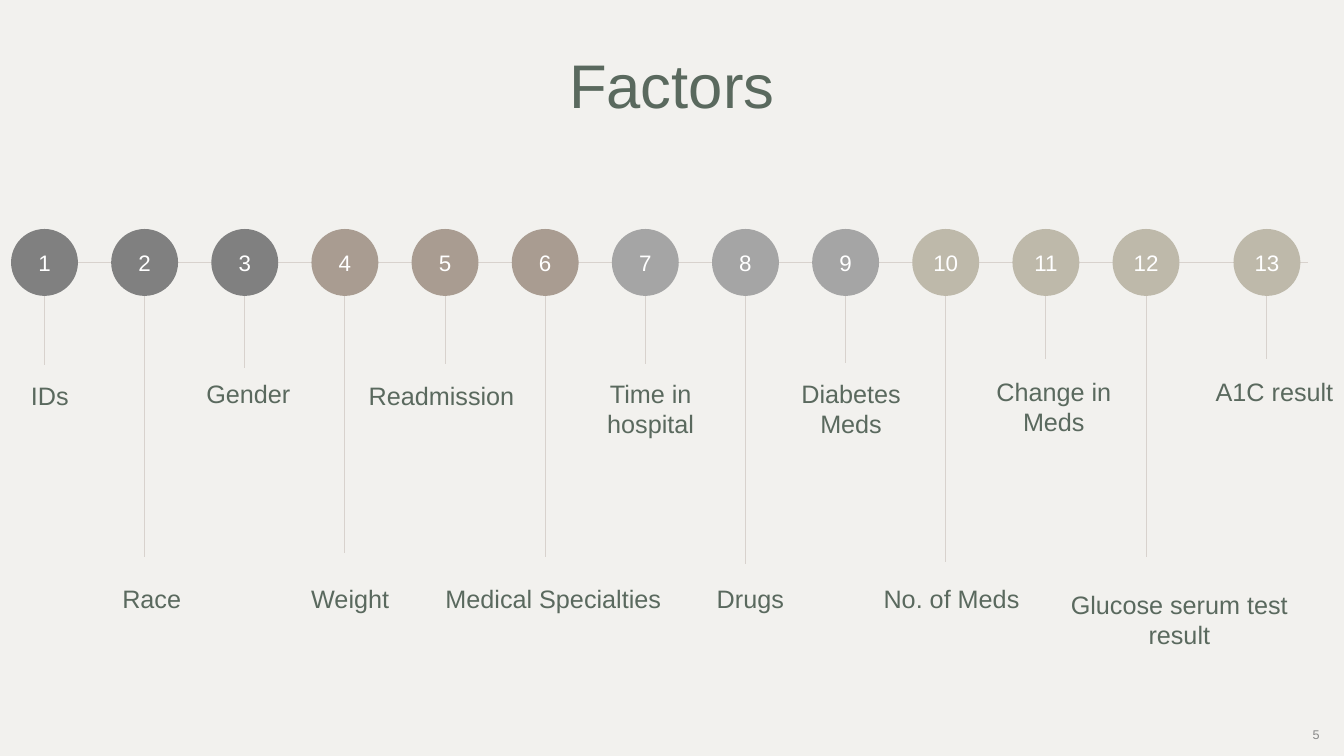
from lxml import etree
from pptx import Presentation
from pptx import util as u
from pptx.dml.color import RGBColor
from pptx.enum import shapes, text
from pptx.oxml.ns import qn

GREEN, WHITE, RULE = "5A695E", "FFFFFF", "D8D2CD"
DARK, TAUPE, GRAY, SAND = "808080", "A99C91", "A5A5A5", "BEB9AA"
BADGE, STEP = 47.8, 71.53
LAST_CENTER = 897.1

# label, badge colour, label left, label top, label width, stem end; relative to the timeline box
FACTORS = [
    ("IDs", DARK, -28.1, 104.4, 104.4, 97),
    ("Race", DARK, 44.7, 249.8, 104.4, 234),
    ("Gender", DARK, 113.8, 103, 104.4, 99.4),
    ("Weight", TAUPE, 186.5, 249.2, 104.4, 231.2),
    ("Readmission", TAUPE, 243.4, 104.4, 121, 96.5),
    ("Medical Specialties", TAUPE, 293.8, 249.2, 180, 234),
    ("Time in hospital", GRAY, 401.1, 103, 104.4, 96.5),
    ("Drugs", GRAY, 472.3, 249.2, 104.4, 239),
    ("Diabetes Meds", GRAY, 544.3, 103, 104.4, 95.8),
    ("No. of Meds", SAND, 606.3, 249.2, 123.8, 237.6),
    ("Change in Meds", SAND, 689.1, 101.6, 104.4, 92.9),
    ("Glucose serum test result", SAND, 739.5, 253.5, 182.9, 234),
    ("A1C result", SAND, 846.7, 101.6, 104.4, 92.9),
]


def color(value):
    return RGBColor.from_string(value)


def write(frame, words, size, ink, align, anchor, insets):
    frame.word_wrap = True
    frame.vertical_anchor = anchor
    frame.margin_left, frame.margin_top, frame.margin_right, frame.margin_bottom = map(u.Pt, insets)
    paragraph = frame.paragraphs[0]
    paragraph.alignment = align
    run = paragraph.add_run()
    run.text = words
    run.font.name = "Arial"
    run.font.size = u.Pt(size)
    run.font.color.rgb = color(ink)
    return paragraph


def add_words(slide, box, words, size, ink=GREEN, align=text.PP_ALIGN.CENTER,
              anchor=text.MSO_ANCHOR.MIDDLE, right=7.2):
    frame = slide.shapes.add_textbox(*map(u.Pt, box)).text_frame
    return write(frame, words, size, ink, align, anchor, (7.2, 3.6, right, 3.6))


def add_rule(slide, *ends):
    rule = slide.shapes.add_connector(shapes.MSO_CONNECTOR.STRAIGHT, *map(u.Pt, ends))
    rule.line.color.rgb = color(RULE)
    rule.line.width = u.Pt(0.75)
    etree.SubElement(rule._element.spPr, qn("a:effectLst"))


def add_badge(slide, left, top, number, fill):
    badge = slide.shapes.add_shape(shapes.MSO_SHAPE.OVAL, *map(u.Pt, (left, top, BADGE, BADGE)))
    badge.shadow.inherit = False
    badge.fill.solid()
    badge.fill.fore_color.rgb = color(fill)
    badge.line.fill.background()
    write(badge.text_frame, str(number), 16, WHITE, text.PP_ALIGN.CENTER,
          text.MSO_ANCHOR.MIDDLE, (0, 0, 0, 0))


def add_title(slide, box):
    add_words(slide, box, "Factors", 44).line_spacing = 0.9


def add_timeline(slide, left, top, width):
    middle = top + BADGE / 2
    centers = [left + BADGE / 2 + STEP * i for i in range(len(FACTORS) - 1)]
    centers.append(left + LAST_CENTER)
    for center, factor in zip(centers, FACTORS):
        add_rule(slide, center, middle, center, top + factor[-1])
    add_rule(slide, left + BADGE, middle, left + width, middle)
    for number, (center, factor) in enumerate(zip(centers, FACTORS), 1):
        label, fill, label_left, label_top, label_width, _ = factor
        add_badge(slide, center - BADGE / 2, top, number, fill)
        add_words(slide, (left + label_left, top + label_top, label_width, 28.8), label, 18,
                  anchor=text.MSO_ANCHOR.TOP, right=0)


def add_page_number(slide, box):
    add_words(slide, box, "5", 9, "888888", text.PP_ALIGN.RIGHT)


def main():
    deck = Presentation()
    deck.slide_width, deck.slide_height = u.Pt(960), u.Pt(540)
    slide = deck.slides.add_slide(deck.slide_layouts[6])
    slide.background.fill.solid()
    slide.background.fill.fore_color.rgb = color("F2F1EE")
    add_title(slide, (66, 10.8, 828, 104.4))
    add_timeline(slide, 7.9, 163.6, 926.7)
    add_page_number(slide, (733.7, 510.5, 216, 28.8))
    deck.save("out.pptx")


if __name__ == "__main__":
    main()
